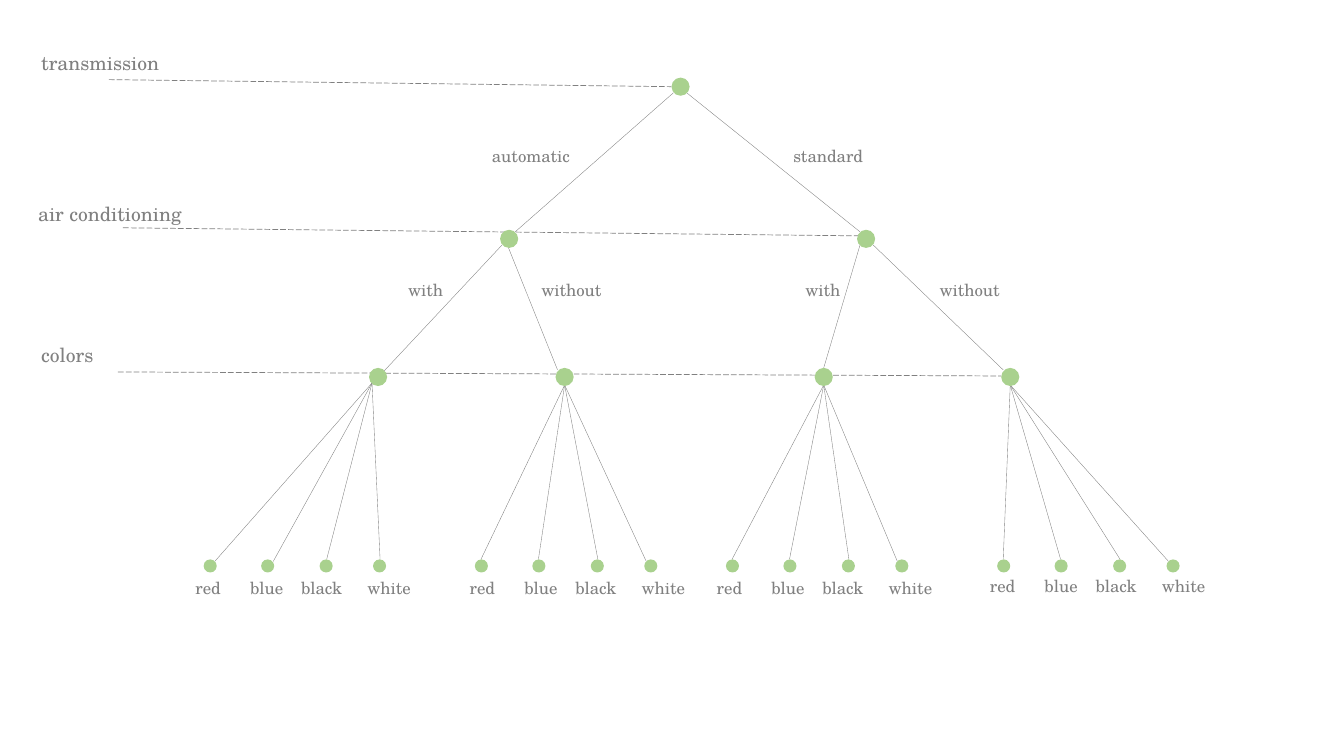
import pptx
import pptx.dml.color
import pptx.enum.dml
import pptx.enum.shapes
import pptx.enum.text
import pptx.util
import lxml.etree

COLORS = {"node": "A9D18E", "ink": "808080"}
FONT = "TeX Gyre Schola"
CELL = pptx.util.Inches(0.01)
COLUMNS, ROWS = 1333, 750
NODE_SIZE, LEAF_SIZE = 18, 13
LEAF_ROW = 555

deck = pptx.Presentation()
deck.slide_width = COLUMNS * CELL
deck.slide_height = ROWS * CELL
slide = deck.slides.add_slide(deck.slide_layouts[6])
ink = pptx.dml.color.RGBColor.from_string(COLORS["ink"])


def add_line(start, end, width=0.25, dash=None):
    line = slide.shapes.add_connector(
        pptx.enum.shapes.MSO_CONNECTOR.STRAIGHT,
        *(CELL * step for step in (*start, *end)))
    line.line.color.rgb = ink
    line.line.width = pptx.util.Pt(width)
    line.line.dash_style = dash
    lxml.etree.SubElement(line._element.spPr, pptx.oxml.ns.qn("a:effectLst"))


def add_label(text, column, row, width, height=30, size=12, centered=False):
    label = slide.shapes.add_textbox(*(CELL * step for step in (column, row, width, height)))
    frame = label.text_frame
    frame.text = text
    frame.word_wrap = not centered
    frame.auto_size = pptx.enum.text.MSO_AUTO_SIZE.SHAPE_TO_FIT_TEXT
    paragraph = frame.paragraphs[0]
    if centered:
        paragraph.alignment = pptx.enum.text.PP_ALIGN.CENTER
    font = paragraph.runs[0].font
    font.name = FONT
    font.size = pptx.util.Pt(size)
    font.color.rgb = ink


levels = [
    ("transmission", (31, 46, 153), (108, 79), (666, 86)),
    ("air conditioning", (28, 195, 186), (122, 226), (852, 234)),
    ("colors", (31, 335, 171), (117, 369), (993, 373)),
]
for level, place, start, end in levels:
    add_line(start, end, 0.5, pptx.enum.dml.MSO_LINE.LONG_DASH)
    add_label(level, *place, height=34, size=14)

branches = [
    ("automatic", (478, 140, 102), (668, 92), (511, 230)),
    ("standard", (777, 140, 101), (681, 92), (853, 230)),
    ("with", (395, 273, 56), (498, 243), (381, 368)),
    ("without", (527, 273, 88), (504, 245), (553, 367)),
    ("with", (789, 273, 56), (853, 243), (817, 365)),
    ("without", (922, 273, 88), (866, 243), (995, 367)),
]
for choice, place, start, end in branches:
    add_line(start, end)
    add_label(choice, *place)

nodes = [(666, 77, NODE_SIZE)]
nodes += [(column, 228, NODE_SIZE) for column in (496, 850)]
nodes += [(column, 365, NODE_SIZE) for column in (366, 551, 808, 993)]

paints = [("red", 0, 0, 47), ("blue", 57, 55, 53),
          ("black", 115, 103, 66), ("white", 168, 170, 66)]
inner_tips = [(6, 0), (6, 0), (7, 0), (2, 2)]
first_tips = [(11, 2), (12, 2), (7, 0), (7, 0)]
fans = [
    ((369, 380), 202, (183, 568), first_tips),
    ((560, 382), 471, (455, 568), inner_tips),
    ((817, 382), 720, (700, 568), inner_tips),
    ((1002, 382), 989, (971, 566), inner_tips),
]
for origin, leaf_column, (label_column, label_row), tips in fans:
    for (paint, leaf_shift, label_shift, width), (tip_x, tip_y) in zip(paints, tips):
        leaf = leaf_column + leaf_shift
        add_line(origin, (leaf + tip_x, LEAF_ROW + tip_y))
        add_label(paint, label_column + label_shift, label_row, width, centered=True)
        nodes.append((leaf, LEAF_ROW, LEAF_SIZE))

for column, row, size in nodes:
    node = slide.shapes.add_shape(
        pptx.enum.shapes.MSO_SHAPE.OVAL,
        *(CELL * step for step in (column, row, size, size)))
    node.shadow.inherit = False
    node.fill.solid()
    node.fill.fore_color.rgb = pptx.dml.color.RGBColor.from_string(COLORS["node"])
    node.line.fill.background()

deck.save("out.pptx")
